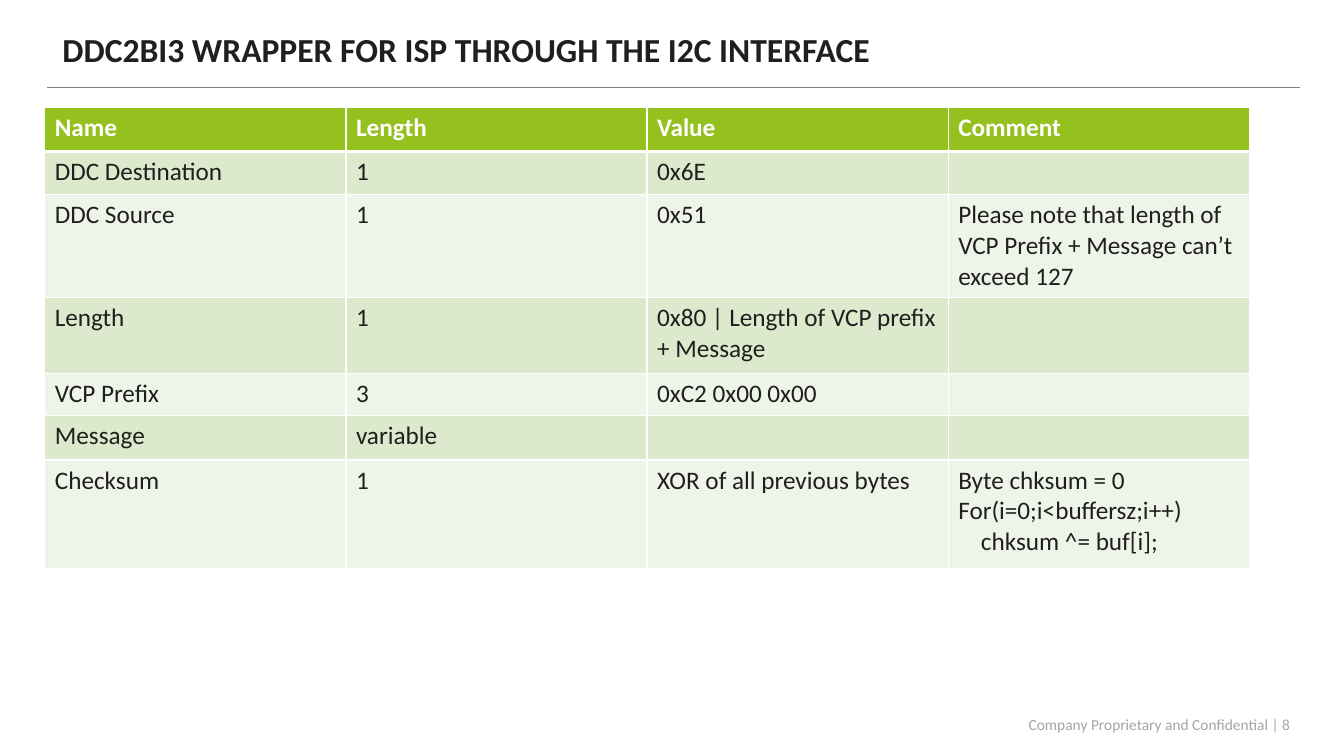
from dataclasses import dataclass

from lxml.etree import SubElement
from pptx import Presentation
from pptx.dml.color import RGBColor
from pptx.enum.shapes import MSO_CONNECTOR as Connector
from pptx.enum.text import MSO_ANCHOR as Anchor, PP_ALIGN as Align
from pptx.oxml.ns import qn
from pptx.slide import Slide
from pptx.table import _Cell as Cell
from pptx.text.text import TextFrame
from pptx.util import Pt


@dataclass(frozen=True)
class Theme:
    font: str = "Calibri"
    ink: str = "201F1F"
    white: str = "FFFFFF"
    rule: str = "7F7E7E"
    footer: str = "A6A4A4"
    header: str = "95C11F"
    bands: tuple[str, str] = ("DDE9CD", "EFF4E8")
    title_size: float = 24
    table_size: float = 18
    footer_size: float = 11


@dataclass(frozen=True)
class Field:
    height: float
    name: str
    length: str
    value: str = ""
    comment: str = ""


THEME = Theme()
COLUMN_WIDTH = 215.1
FIELDS = [
    Field(31.6, "Name", "Length", "Value", "Comment"),
    Field(31, "DDC Destination", "1", "0x6E"),
    Field(73.4, "DDC Source", "1", "0x51",
          "Please note that length of VCP Prefix + Message can’t exceed 127"),
    Field(54, "Length", "1", "0x80 | Length of VCP prefix + Message"),
    Field(30.5, "VCP Prefix", "3", "0xC2 0x00 0x00"),
    Field(31.6, "Message", "variable"),
    Field(77.6, "Checksum", "1", "XOR of all previous bytes",
          "Byte chksum = 0\nFor(i=0;i<buffersz;i++)\n    chksum ^= buf[i];"),
]


def format_text(text_frame: TextFrame, size: float, color: str, bold: bool = False,
                align: Align = Align.LEFT) -> None:
    for paragraph in text_frame.paragraphs:
        paragraph.alignment = align
        font = paragraph.font
        font.name, font.size, font.bold = THEME.font, Pt(size), bold
        font.color.rgb = RGBColor.from_string(color)
        for run in paragraph.runs:
            run.font.name, run.font.size, run.font.bold = THEME.font, Pt(size), bold
            run.font.color.rgb = RGBColor.from_string(color)


def add_border(cell: Cell, side: str, width: float) -> None:
    properties = cell._tc.get_or_add_tcPr()
    line = SubElement(properties, qn(f"a:ln{side}"), w=str(Pt(width)))
    fill = SubElement(line, qn("a:solidFill"))
    SubElement(fill, qn("a:srgbClr"), val=THEME.white)


def fill_cell(cell: Cell, text: str, row: int) -> None:
    is_header = row == 0
    cell.text_frame.text = text
    format_text(cell.text_frame, THEME.table_size,
                THEME.white if is_header else THEME.ink, is_header)
    # Borders come before the fill in the cell properties
    widths = {"L": 1, "R": 1, "T": 3 if row == 1 else 1, "B": 3 if is_header else 1}
    for side, width in widths.items():
        add_border(cell, side, width)
    cell.fill.solid()
    color = THEME.header if is_header else THEME.bands[(row - 1) % 2]
    cell.fill.fore_color.rgb = RGBColor.from_string(color)


def set_title(slide: Slide, text: str) -> None:
    title = slide.shapes.title
    title.left, title.top, title.width, title.height = Pt(37.4), Pt(17.3), Pt(797), Pt(38.9)
    text_frame = title.text_frame
    text_frame.text = text
    text_frame.word_wrap = True
    text_frame.vertical_anchor = Anchor.MIDDLE
    text_frame.paragraphs[0].line_spacing = 0.9
    format_text(text_frame, THEME.title_size, THEME.ink, bold=True)


def add_rule(slide: Slide) -> None:
    rule = slide.shapes.add_connector(Connector.STRAIGHT, Pt(33.8), Pt(62.6), Pt(928.4), Pt(62.6))
    rule.line.width = Pt(1)
    rule.line.color.rgb = RGBColor.from_string(THEME.rule)
    SubElement(rule._element.spPr, qn("a:effectLst"))


def add_footer(slide: Slide, text: str) -> None:
    footer = slide.shapes.add_textbox(Pt(601.2), Pt(508.3), Pt(327.6), Pt(18.7))
    text_frame = footer.text_frame
    text_frame.text = text
    text_frame.word_wrap = True
    text_frame.vertical_anchor = Anchor.MIDDLE
    format_text(text_frame, THEME.footer_size, THEME.footer, align=Align.RIGHT)


def add_field_table(slide: Slide) -> None:
    height = sum(field.height for field in FIELDS)
    table = slide.shapes.add_table(len(FIELDS), 4, Pt(32), Pt(76.6),
                                   Pt(4 * COLUMN_WIDTH), Pt(height)).table
    table.horz_banding = False
    for column in table.columns:
        column.width = Pt(COLUMN_WIDTH)
    for row, field in enumerate(FIELDS):
        table.rows[row].height = Pt(field.height)
        texts = (field.name, field.length, field.value, field.comment)
        for column, text in enumerate(texts):
            fill_cell(table.cell(row, column), text, row)


def main() -> None:
    presentation = Presentation()
    presentation.slide_width, presentation.slide_height = Pt(960), Pt(540)
    slide = presentation.slides.add_slide(presentation.slide_layouts[5])

    # Heading
    set_title(slide, "DDC2BI3 WRAPPER FOR ISP THROUGH THE I2C INTERFACE")
    add_rule(slide)

    # Message fields
    add_field_table(slide)

    # Footer
    add_footer(slide, "Company Proprietary and Confidential | 8")
    presentation.save("out.pptx")


if __name__ == "__main__":
    main()
